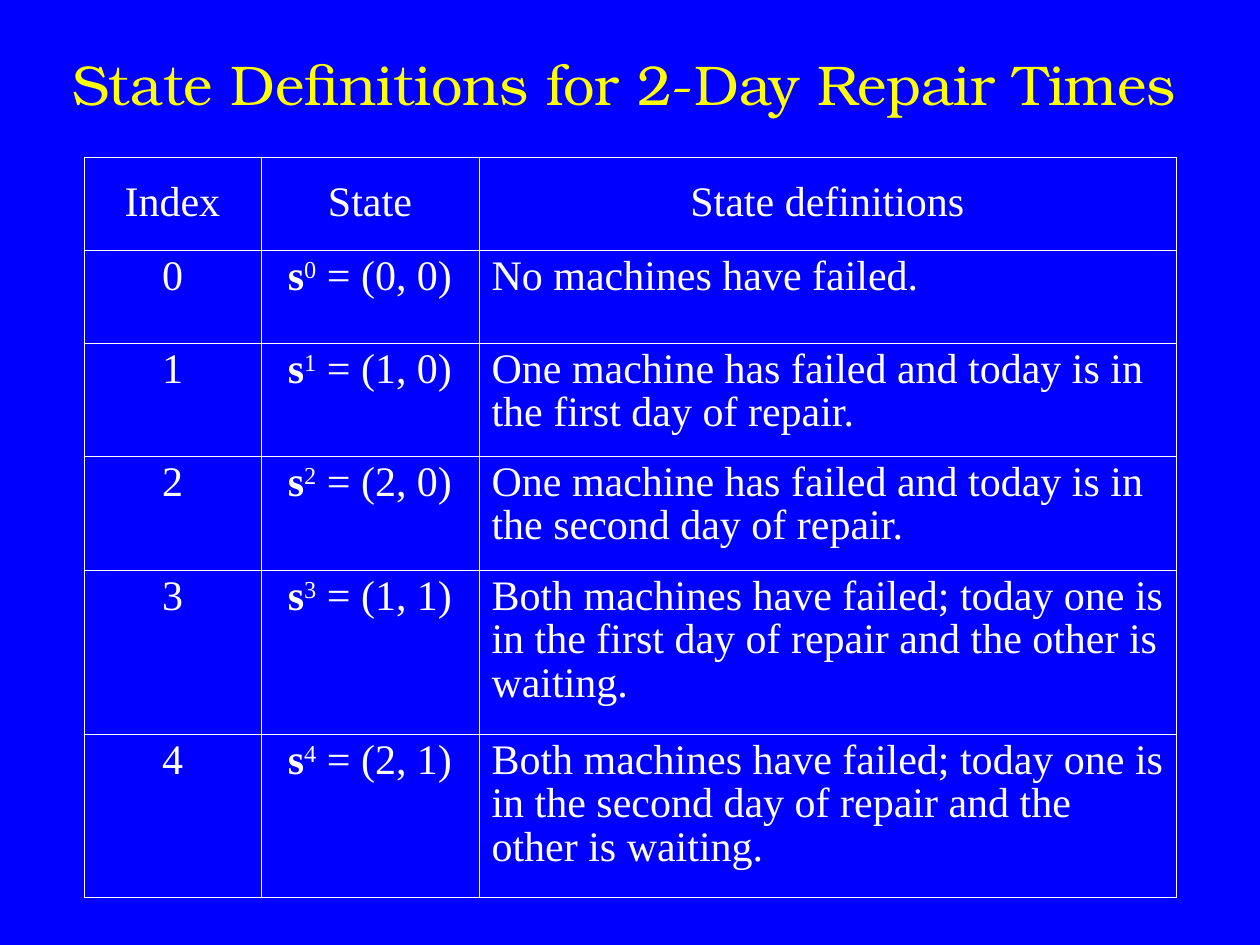
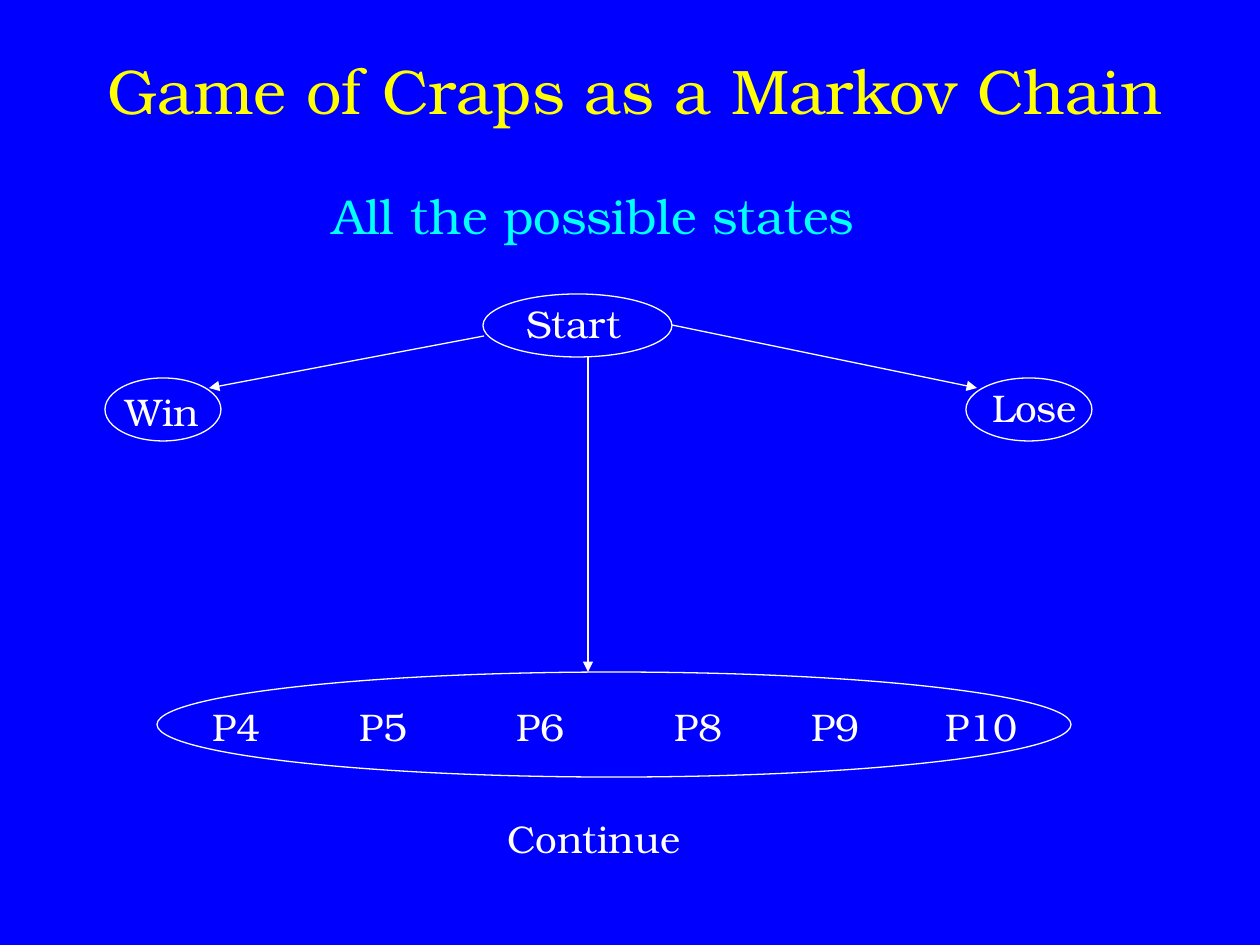
from pptx import Presentation
from pptx.dml.color import RGBColor
from pptx.enum.shapes import MSO_CONNECTOR as Link, MSO_SHAPE as Form
from pptx.enum.text import MSO_ANCHOR as Anchor, MSO_AUTO_SIZE as Fit, PP_ALIGN as Align
from pptx.oxml.ns import qn
from pptx.util import Inches, Pt
from lxml.etree import SubElement as Sub

BLUE = RGBColor(0, 0, 255)
YELLOW = RGBColor(255, 255, 0)
CYAN = RGBColor(0, 255, 255)
WHITE = RGBColor(255, 255, 255)
SERIF = "TeX Gyre Bonum"
ROMAN = "Times New Roman"
SCALE = Inches(1) / 126

CELL = {"size": Pt(24), "name": ROMAN}
LABEL = {"size": Pt(22), "name": SERIF}
SUBHEAD = {"size": Pt(28), "name": SERIF}

COLS = (177, 218, 697)
ROWS = (93, 93, 113, 114, 164, 164)
HEADS = ("Index", "State", "State definitions")
STATES = (
    ("(0, 0)", "No machines have failed."),
    ("(1, 0)", "One machine has failed and today is in the first day of repair."),
    ("(2, 0)", "One machine has failed and today is in the second day of repair."),
    ("(1, 1)", "Both machines have failed; today one is in the first day of repair "
               "and the other is waiting."),
    ("(2, 1)", "Both machines have failed; today one is in the second day of repair "
               "and the other is waiting."),
)

OVALS = ((410, 0, 189, 63), (32, 84, 116, 63), (893, 84, 126, 63), (84, 378, 914, 105))
ARROWS = ((411, 42, 136, 94), (599, 31, 904, 94), (515, 63, 515, 378))
POINTS = {"P4": 74, "P5": 221, "P6": 378, "P8": 536, "P9": 673, "P10": 819}


def px(*nums):
    return [round(num * SCALE) for num in nums]


def style(run, look, tone=WHITE):
    for key, val in look.items():
        setattr(run.font, key, val)
    run.font.color.rgb = tone


def write(slide, text, box, look, tone=WHITE, align=Align.CENTER):
    shape = slide.shapes.add_textbox(*px(*box))
    frame = shape.text_frame
    frame.word_wrap = True
    para = frame.paragraphs[0]
    para.alignment = align
    run = para.add_run()
    run.text = text
    style(run, look, tone)
    return frame


def start(deck, title, box, size):
    slide = deck.slides.add_slide(deck.slide_layouts[6])
    fill = slide.background.fill
    fill.solid()
    fill.fore_color.rgb = BLUE
    frame = write(slide, title, box, {"size": Pt(size), "name": SERIF}, YELLOW)
    frame.vertical_anchor = Anchor.MIDDLE
    frame.margin_left = frame.margin_right = 0
    return slide


def border(cell, row, col):
    outer = {"L": col == 0, "R": col == len(COLS) - 1,
             "T": row == 0, "B": row == len(ROWS) - 1}
    props = cell._tc.get_or_add_tcPr()
    for side, edge in outer.items():
        line = Sub(props, qn(f"a:ln{side}"), w=str(Pt(0.5 if edge else 0.23)))
        Sub(Sub(line, qn("a:solidFill")), qn("a:srgbClr"), val=str(WHITE))
    cell.fill.background()


def fill_cell(cell, parts, align):
    para = cell.text_frame.paragraphs[0]
    para.alignment = align
    para.line_spacing = 0.93
    for text, bold, base in parts:
        run = para.add_run()
        run.text = text
        style(run, CELL | {"bold": bold})
        if base:
            run._r.get_or_add_rPr().set("baseline", str(base))


def state_grid(slide, left, top):
    box = px(left, top, sum(COLS), sum(ROWS))
    grid = slide.shapes.add_table(len(ROWS), len(COLS), *box).table
    grid.first_row = grid.horz_banding = False
    for col, width in zip(grid.columns, px(*COLS)):
        col.width = width
    for row, height in zip(grid.rows, px(*ROWS)):
        row.height = height
    lines = [[[(head, False, 0)] for head in HEADS]]
    for num, (pair, text) in enumerate(STATES):
        state = [("s", True, 0), (str(num), False, 30000), (f" = {pair}", False, 0)]
        lines.append([[(str(num), False, 0)], state, [(text, False, 0)]])
    for row, line in enumerate(lines):
        for col, parts in enumerate(line):
            cell = grid.cell(row, col)
            border(cell, row, col)
            cell.vertical_anchor = Anchor.TOP if row else Anchor.MIDDLE
            fill_cell(cell, parts, Align.LEFT if row and col == 2 else Align.CENTER)


def label(slide, text, left, top, width=179, align=Align.CENTER):
    frame = write(slide, text, (left, top, width, 59), LABEL, align=align)
    frame.auto_size = Fit.SHAPE_TO_FIT_TEXT


def oval(slide, box):
    shape = slide.shapes.add_shape(Form.OVAL, *px(*box))
    shape.shadow.inherit = False
    shape.fill.background()
    shape.line.color.rgb = WHITE
    shape.line.width = Pt(0.75)


def arrow(slide, ends):
    link = slide.shapes.add_connector(Link.STRAIGHT, *px(*ends))
    link.line.color.rgb = WHITE
    link.line.width = Pt(0.75)
    Sub(link.line._get_or_add_ln(), qn("a:tailEnd"), type="triangle")
    Sub(link._element.spPr, qn("a:effectLst"))


def chain(slide, left, top):
    label(slide, "Start", left + 441, top, align=Align.LEFT)
    label(slide, "Win", left, top + 88)
    label(slide, "Lose", left + 872, top + 84)
    for text, shift in POINTS.items():
        label(slide, text, left + shift, top + 403)
    label(slide, "Continue", left + 400, top + 515, 242)
    for x, y, width, height in OVALS:
        oval(slide, (left + x, top + y, width, height))
    for x, y, end_x, end_y in ARROWS:
        arrow(slide, (left + x, top + y, left + end_x, top + end_y))


def main():
    deck = Presentation()
    deck.slide_width, deck.slide_height = px(1260, 945)
    slide = start(deck, "State Definitions for 2-Day Repair Times", (31, 31, 1187, 105), 32)
    state_grid(slide, 84, 157)
    slide = start(deck, "Game of Craps as a Markov Chain", (73, 31, 1124, 116), 36)
    frame = write(slide, "All the possible states", (283, 179, 620, 72), SUBHEAD, CYAN)
    frame.auto_size = Fit.SHAPE_TO_FIT_TEXT
    chain(slide, 73, 294)
    deck.save("out.pptx")


if __name__ == "__main__":
    main()
